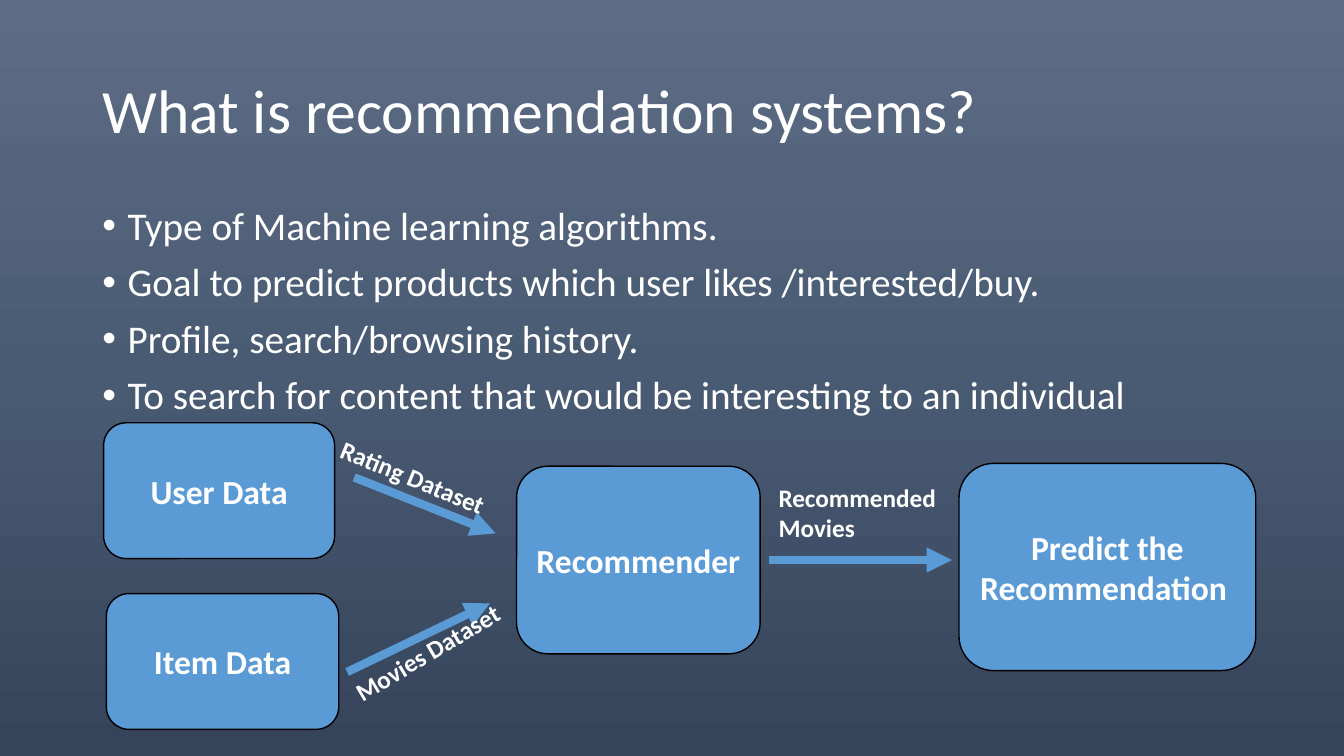
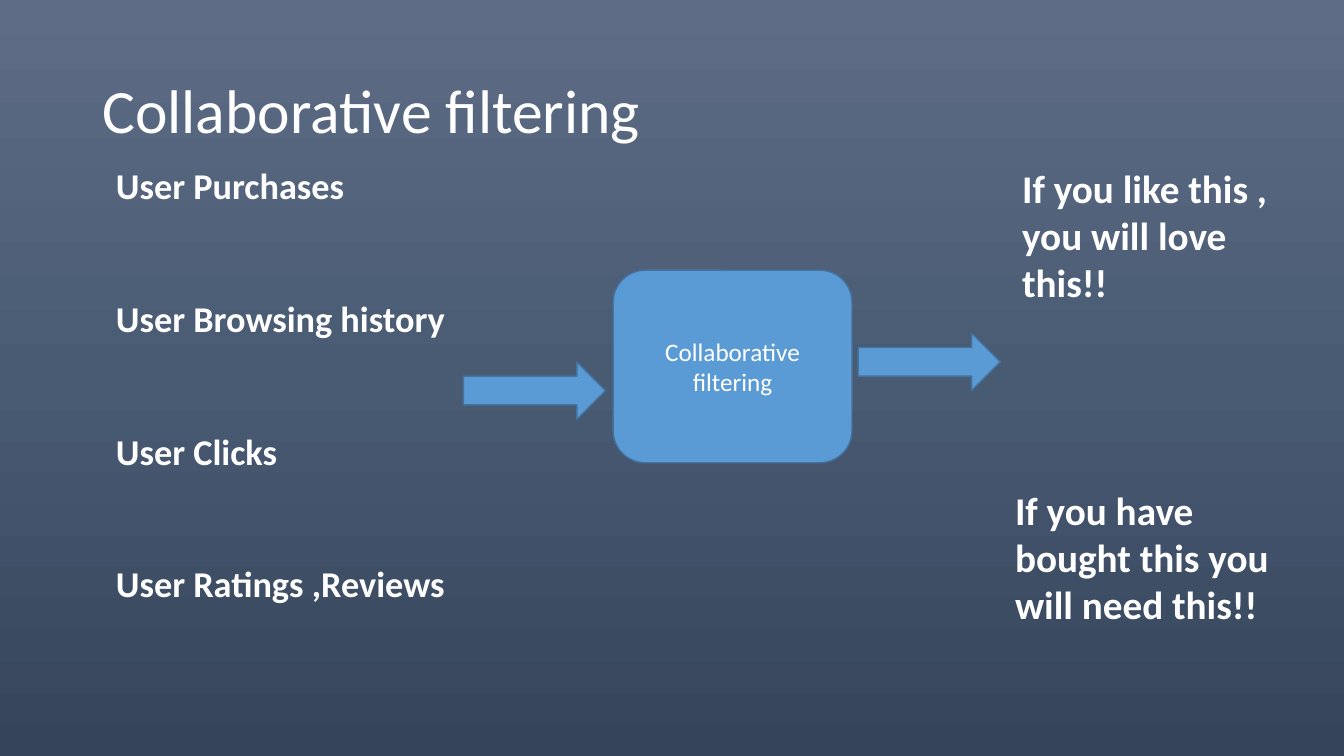
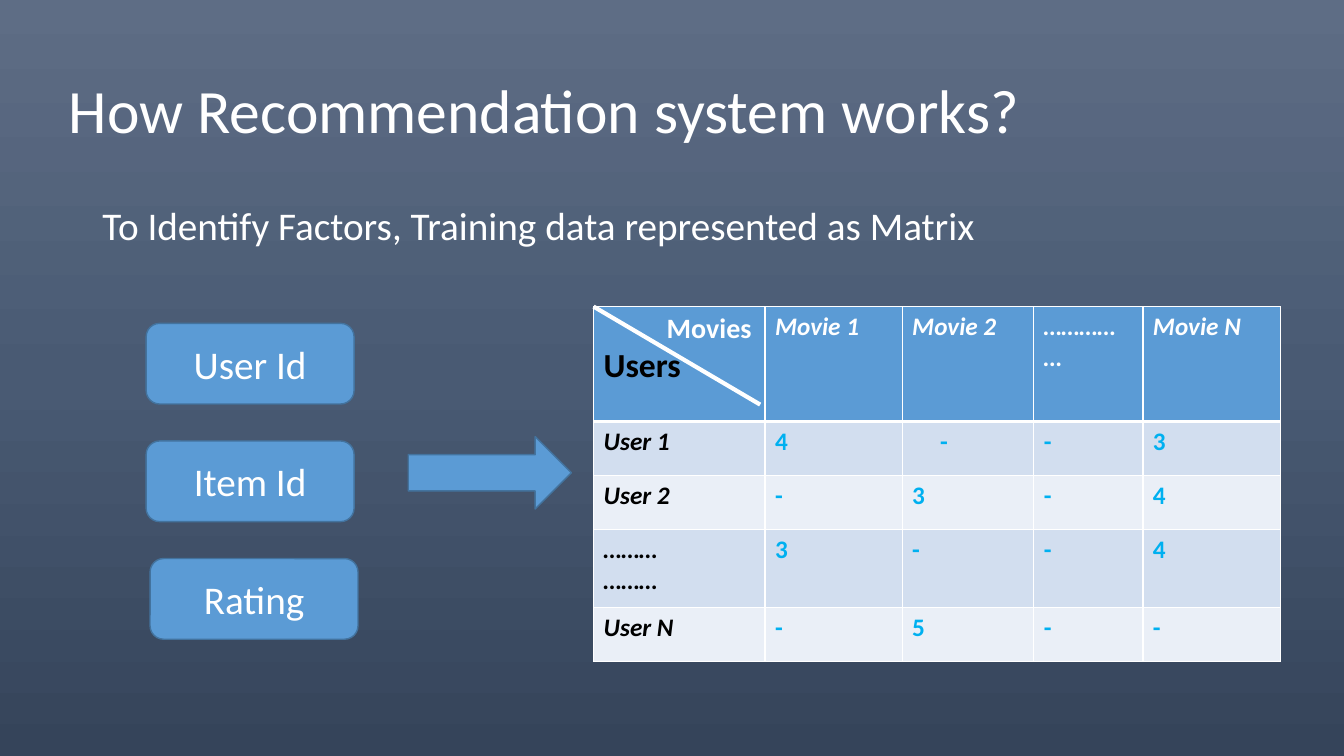
from lxml.etree import SubElement
from pptx import Presentation
from pptx.dml.color import RGBColor
from pptx.enum.shapes import MSO_CONNECTOR, MSO_SHAPE as Preset
from pptx.enum.text import MSO_ANCHOR as Anchor, MSO_AUTO_SIZE as AutoSize, PP_ALIGN as Align
from pptx.oxml.ns import qn
from pptx.util import Pt

# Shared look
FONT = "Calibri"
WHITE, BLACK, BLUE, EDGE, CYAN = "FFFFFF", "000000", "5B9BD5", "43739E", "00B0F0"
BANDS = ("D2DEEF", "EAEFF7")
GRADIENT = [(0, "5E6D85"), (50, "495A73"), (100, "35445A")]
TITLE_AREA = (66, 29, 828, 104)

# Content: areas are left, top, width, height
GOALS = [
    "Type of Machine learning algorithms.",
    "Goal to predict products which user likes /interested/buy.",
    "Profile, search/browsing history.",
    "To search for content that would be interesting to an individual",
]
FLOW_BOXES = [
    ("User Data", (74, 302, 165, 97)),
    ("Item Data", (76, 424, 166, 97)),
    ("Recommender", (369, 333, 174, 134)),
    ("Predict the Recommendation ", (685, 331, 212, 148)),
]
FLOW_ARROWS = [((253, 341), (354, 381)), ((248, 480), (350, 431)), ((549, 400), (680, 400))]
FLOW_LABELS = [  # text, area, rotation, wrap
    ("Recommended Movies", (549, 341, 134, 51), 0, True),
    ("Rating Dataset", (233, 328, 132, 29), 22.2, True),
    ("Movies Dataset", (240, 451, 132, 29), 329.3, False),
]

SIGNALS = ["User Purchases", "User Browsing history", "User Clicks", "User Ratings ,Reviews"]
FILTER_ARROWS = [(331, 258.5, 101.5, 41), (613, 238, 101.5, 41)]
OUTCOMES = [
    ("If you like this , you will love this!!", (723, 114, 223, 143)),
    ("If you have bought this you will need this!!", (718, 344, 211, 109)),
]

FACTORS = [("User Id", 104.4), ("Item Id", 104.4), ("Rating", 107.2)]  # text, left
FACTOR_TOP, FACTOR_PITCH = 231, 84
MATRIX_LEFT, MATRIX_TOP = 424, 219
COLUMN_WIDTHS = [122.4, 98, 94, 78, 98]
ROW_HEIGHTS = [82, 38.6, 38.6, 56, 38.6]
MATRIX = [
    [None, "Movie 1", "Movie 2", "……………", "Movie N"],
    ["User 1", "4", "-", "-", "3"],
    ["User 2", "-", "3", "-", "4"],
    ["………\n………", "3", "-", "-", "4"],
    ["User N", "-", "5", "-", "-"],
]
CORNER = [("Movies", 20, WHITE, 45), ("Users", 24, BLACK, 0)]  # text, size, colour, indent
INDENTED_CELLS = {(1, 2): 20}


def rgb(value):
    return RGBColor.from_string(value)


def points(values):
    return [Pt(value) for value in values]


def paint(shape, fill, line, width=1):
    shape.shadow.inherit = False
    shape.fill.solid()
    shape.fill.fore_color.rgb = rgb(fill)
    shape.line.color.rgb = rgb(line)
    shape.line.width = Pt(width)


def add_run(paragraph, text, size, color=WHITE, bold=False, italic=False):
    run = paragraph.add_run()
    run.text = text
    font = run.font
    font.name, font.size, font.bold, font.italic = FONT, Pt(size), bold, italic
    font.color.rgb = rgb(color)


def set_indent(paragraph, left, first=0):
    properties = paragraph._p.get_or_add_pPr()
    properties.set("marL", str(Pt(left)))
    properties.set("indent", str(Pt(first)))
    return properties


def place(shape, area):
    shape.left, shape.top, shape.width, shape.height = points(area)


def add_paragraphs(frame, count):
    return [frame.paragraphs[0]] + [frame.add_paragraph() for _ in range(count - 1)]


def start_slide(presentation, title, title_area=TITLE_AREA):
    slide = presentation.slides.add_slide(presentation.slide_layouts[1])
    place(slide.shapes.title, title_area)
    frame = slide.shapes.title.text_frame
    frame.auto_size, frame.vertical_anchor = AutoSize.NONE, Anchor.MIDDLE
    paragraph = frame.paragraphs[0]
    paragraph.alignment, paragraph.line_spacing = Align.LEFT, 0.9
    add_run(paragraph, title, 44)
    return slide


def fill_body(slide, lines, area, size=28, bold=False, bullets=False, spacing=0.9, gap=10):
    body = slide.placeholders[1]
    place(body, area)
    body.text_frame.auto_size = AutoSize.NONE
    for index, paragraph in enumerate(add_paragraphs(body.text_frame, len(lines))):
        properties = set_indent(paragraph, *((18, -18) if bullets else (0, 0)))
        if bullets:
            SubElement(properties, qn("a:buFont"), typeface="Arial")
            SubElement(properties, qn("a:buChar"), char="•")
        else:
            SubElement(properties, qn("a:buNone"))
        paragraph.line_spacing = spacing
        paragraph.space_before = Pt(gap if index else 0)
        add_run(paragraph, lines[index], size, bold=bold)


def add_box(slide, preset, area, text="", size=18, bold=False, line=EDGE):
    shape = slide.shapes.add_shape(preset, *points(area))
    paint(shape, BLUE, line)
    if text:
        shape.text_frame.vertical_anchor = Anchor.MIDDLE
        paragraph = shape.text_frame.paragraphs[0]
        paragraph.alignment = Align.CENTER
        add_run(paragraph, text, size, bold=bold)


def add_label(slide, text, area, size, rotation=0, wrap=True):
    label = slide.shapes.add_textbox(*points(area))
    label.rotation = rotation
    label.text_frame.word_wrap = wrap
    label.text_frame.auto_size = AutoSize.SHAPE_TO_FIT_TEXT
    add_run(label.text_frame.paragraphs[0], text, size, bold=True)


def add_line(slide, start, end, color, width, arrow=False):
    line = slide.shapes.add_connector(MSO_CONNECTOR.STRAIGHT, *points(start + end))
    line.line.color.rgb = rgb(color)
    line.line.width = Pt(width)
    if arrow:
        SubElement(line.line._get_or_add_ln(), qn("a:tailEnd"), type="triangle")
    SubElement(line._element.spPr, qn("a:effectLst"))


def style_cell(cell, fill, top, bottom):
    properties = cell._tc.get_or_add_tcPr()
    for side, width in (("L", 1), ("R", 1), ("T", top), ("B", bottom)):
        border = SubElement(properties, qn("a:ln" + side), w=str(Pt(width)))
        SubElement(SubElement(border, qn("a:solidFill")), qn("a:srgbClr"), val=WHITE)
    cell.fill.solid()
    cell.fill.fore_color.rgb = rgb(fill)


def add_matrix(slide):
    area = (MATRIX_LEFT, MATRIX_TOP, sum(COLUMN_WIDTHS), sum(ROW_HEIGHTS))
    table = slide.shapes.add_table(len(MATRIX), len(MATRIX[0]), *points(area)).table
    table.first_row = table.horz_banding = False
    for column, width in zip(table.columns, COLUMN_WIDTHS):
        column.width = Pt(width)
    for row, height in zip(table.rows, ROW_HEIGHTS):
        row.height = Pt(height)
    for r, values in enumerate(MATRIX):
        for c, value in enumerate(values):
            cell = table.cell(r, c)
            style_cell(cell, BANDS[(r - 1) % 2] if r else BLUE,
                       top=3 if r == 1 else 1, bottom=1 if r else 3)
            if value is None:
                parts = CORNER
            else:
                color = WHITE if r == 0 else BLACK if c == 0 else CYAN
                indent = INDENTED_CELLS.get((r, c), 0)
                parts = [(text, 18, color, indent) for text in value.split("\n")]
            italic = value is not None and (r == 0 or c == 0)
            paragraphs = add_paragraphs(cell.text_frame, len(parts))
            for paragraph, (text, size, color, indent) in zip(paragraphs, parts):
                set_indent(paragraph, indent)
                add_run(paragraph, text, size, color, True, italic)


def set_background(master):
    fill = master.background.fill
    fill.gradient()
    fill.gradient_angle = 270
    stops = next(master.element.iter(qn("a:gsLst")))
    for stop in list(stops):
        stops.remove(stop)
    for position, color in GRADIENT:
        stop = SubElement(stops, qn("a:gs"), pos=str(position * 1000))
        SubElement(stop, qn("a:srgbClr"), val=color)


def build_overview(presentation):
    slide = start_slide(presentation, "What is recommendation systems?")
    fill_body(slide, GOALS, (66, 144, 828, 367), bullets=True)
    for text, area in FLOW_BOXES:
        add_box(slide, Preset.ROUNDED_RECTANGLE, area, text, 24, True, BLACK)
    for start, end in FLOW_ARROWS:
        add_line(slide, start, end, BLUE, 6, arrow=True)
    for text, area, rotation, wrap in FLOW_LABELS:
        add_label(slide, text, area, 18, rotation, wrap)


def build_filtering(presentation):
    slide = start_slide(presentation, "Collaborative filtering")
    fill_body(slide, SIGNALS, (75.6, 121.7, 828, 343), 25.9, bold=True, spacing=0.7, gap=73)
    add_box(slide, Preset.ROUNDED_RECTANGLE, (438, 193, 170.6, 137.5), "Collaborative filtering")
    for area in FILTER_ARROWS:
        add_box(slide, Preset.RIGHT_ARROW, area)
    for text, area in OUTCOMES:
        add_label(slide, text, area, 28)


def build_matrix(presentation):
    slide = start_slide(presentation, "How Recommendation system works?", (42, 29, 880, 104))
    fill_body(slide, ["To Identify Factors, Training data represented as Matrix"],
              (66, 144, 866, 363))
    for index, (text, left) in enumerate(FACTORS):
        area = (left, FACTOR_TOP + index * FACTOR_PITCH, 148.5, 57.6)
        add_box(slide, Preset.FLOWCHART_ALTERNATE_PROCESS, area, text, 28)
    add_box(slide, Preset.RIGHT_ARROW, (291.6, 311.8, 116.6, 51.8))
    add_matrix(slide)
    add_line(slide, (MATRIX_LEFT, MATRIX_TOP), (543, 289), WHITE, 3)


def main():
    presentation = Presentation()
    presentation.slide_width, presentation.slide_height = Pt(960), Pt(540)
    set_background(presentation.slide_master)
    build_overview(presentation)
    build_filtering(presentation)
    build_matrix(presentation)
    presentation.save("out.pptx")


if __name__ == "__main__":
    main()
